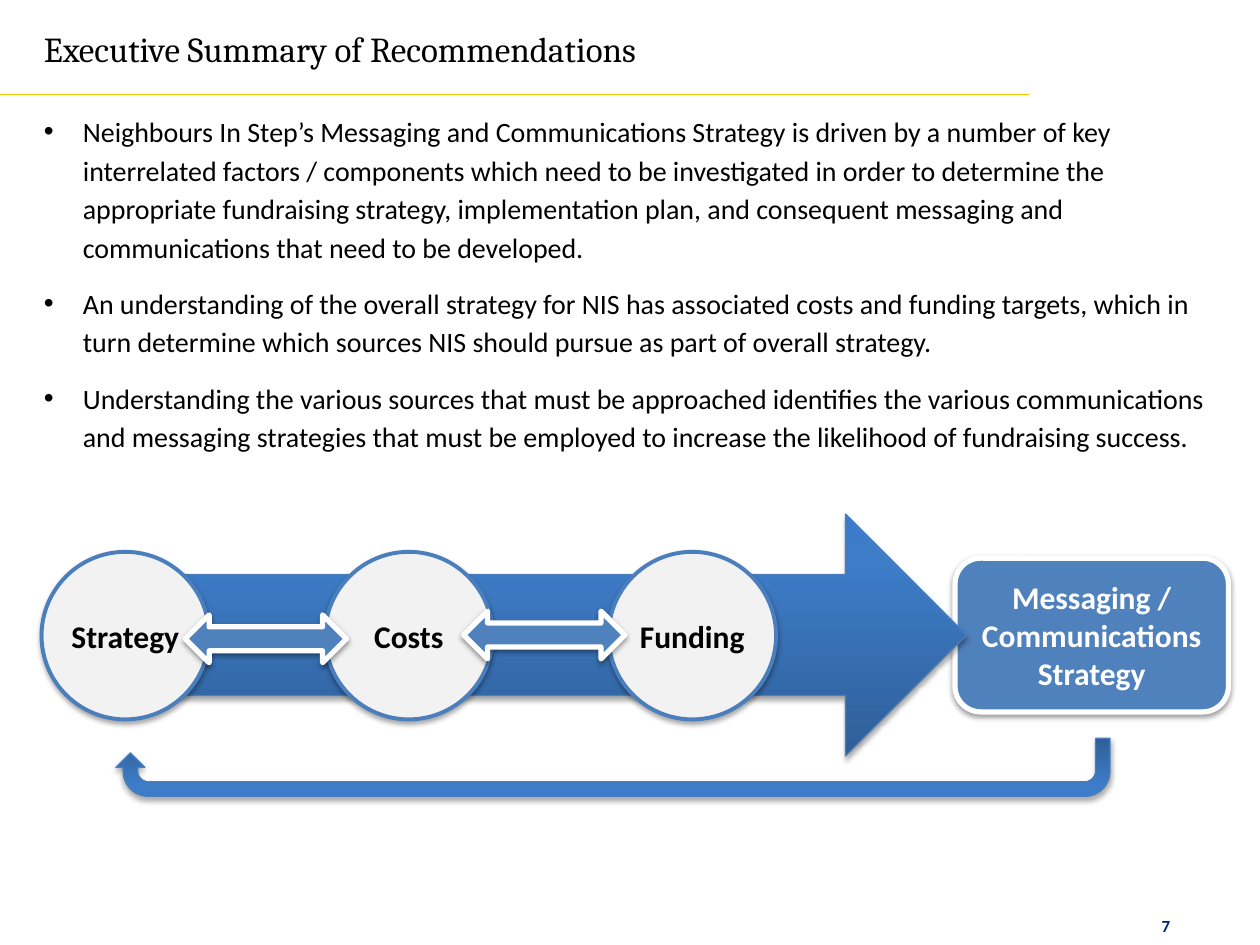
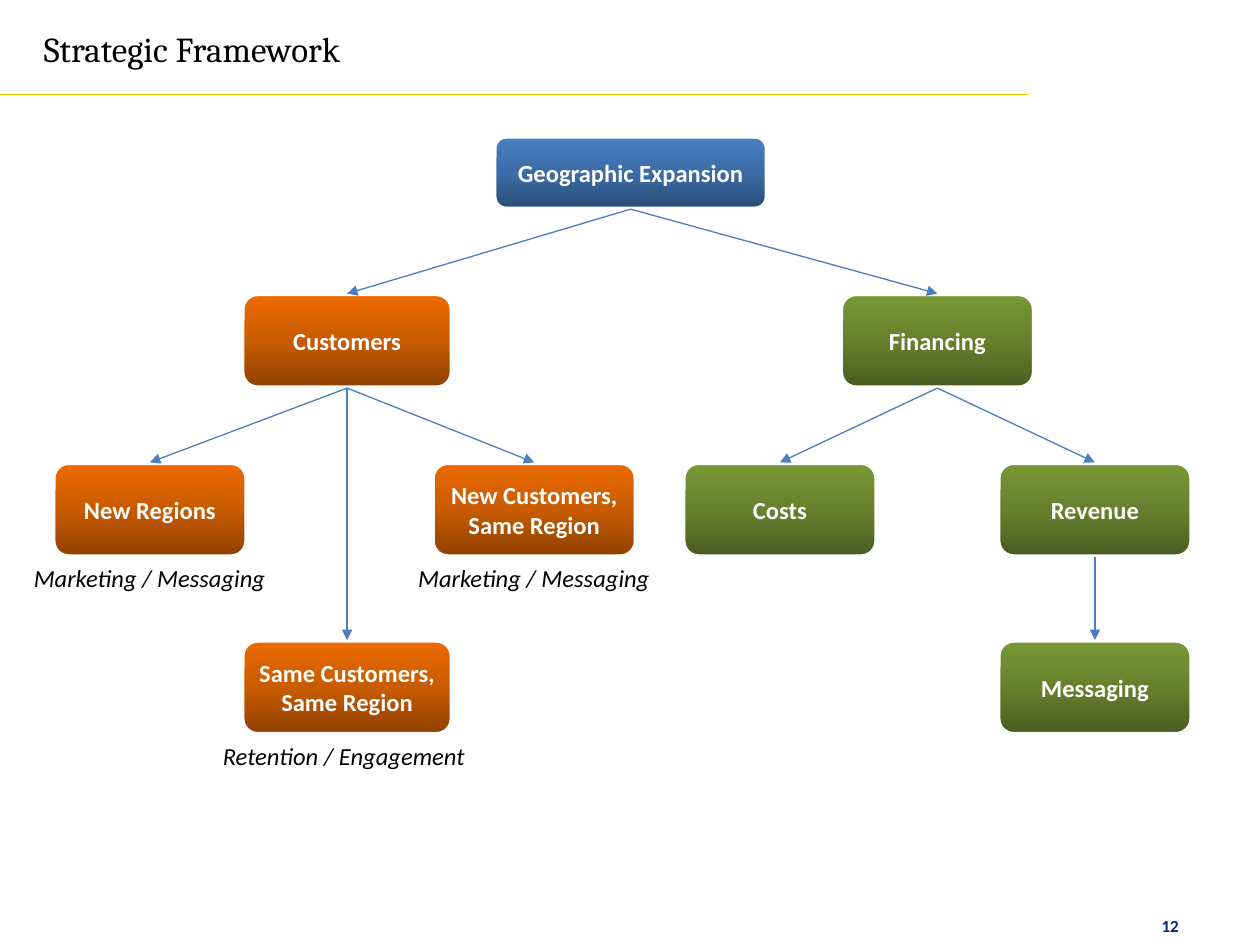
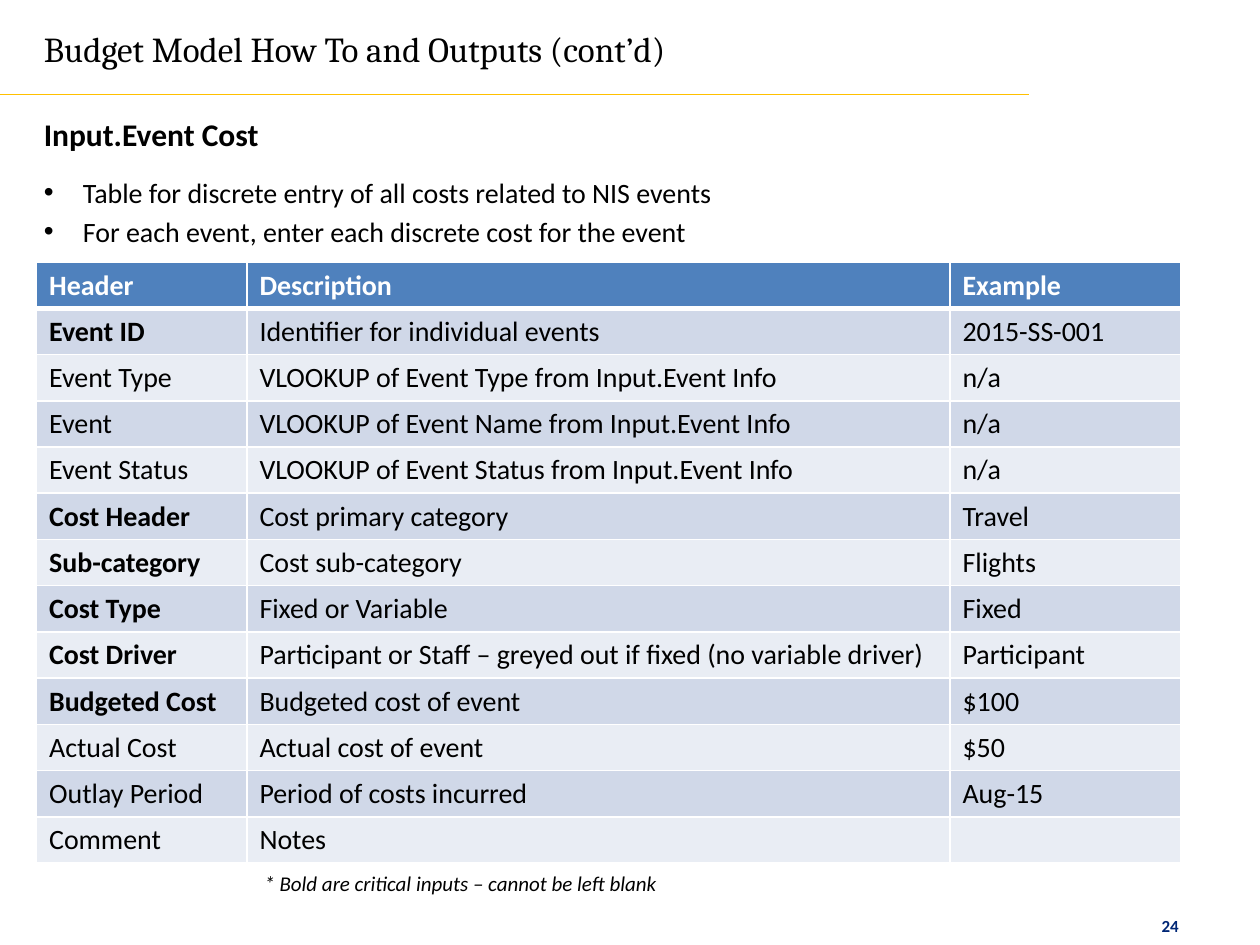
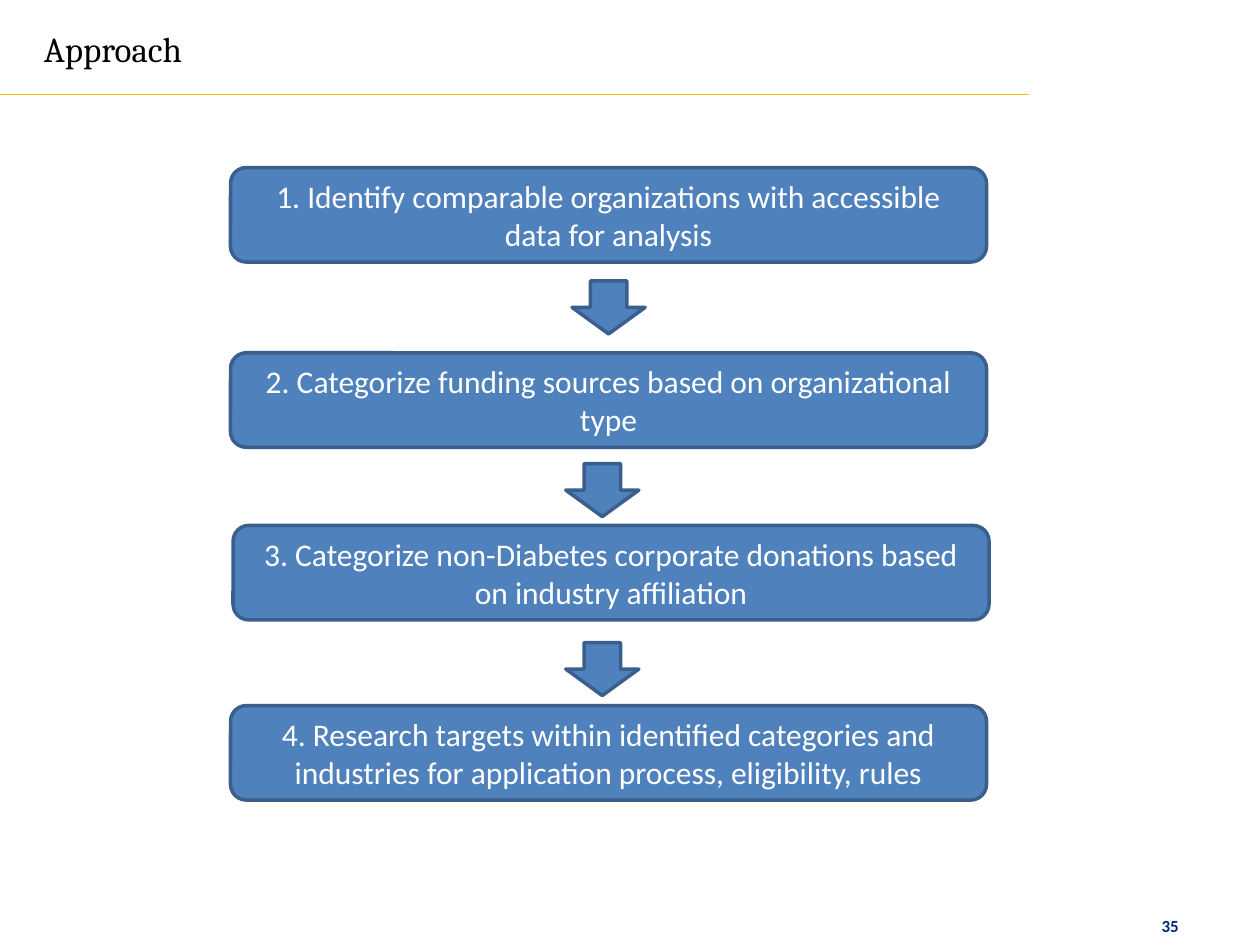
from lxml import etree
from pptx import Presentation
from pptx.dml.color import RGBColor
from pptx.enum import shapes, text
from pptx.oxml import ns
from pptx.util import Inches, Pt

COLORS = {
    "black": "000000", "white": "FFFFFF", "navy": "002776", "gold": "FFC000",
    "blue": "4F81BD", "edge": "4B7EBC", "dark": "3A5F8C", "pale": "F2F2F2",
    "band1": "D0D8E8", "band2": "E9EDF4",
}
GRADIENTS = {
    "arrow": [(0, "2F5F99"), (80, "3D7CC7"), (100, "3A7CCB")],
    "blue_box": [(0, "2A4C75"), (50, "3C6CA6"), (100, "4780C5")],
    "orange_box": [(0, "8D4000"), (50, "C85B00"), (100, "EE6B00")],
    "green_box": [(0, "485B20"), (50, "66812D"), (100, "799936")],
}
SOFT = (35, 1.8)
STRONG = (38, 1.6)
SHAPE = shapes.MSO_SHAPE


def rgb(name):
    return RGBColor.from_string(COLORS[name])


def sub(parent, tag, **attrs):
    return etree.SubElement(parent, ns.qn(tag), {k: str(v) for k, v in attrs.items()})


def inches(*values):
    return [Inches(v) for v in values]


class Deck:
    def __init__(self):
        self.prs = Presentation()
        self.prs.slide_width, self.prs.slide_height = inches(10, 7.5)
        self.s = None

    def slide(self, title, title_width, number):
        self.s = self.prs.slides.add_slide(self.prs.slide_layouts[6])
        self.text(9.12, 7.22, 0.38, 0.15, str(number), 9.7, "navy", bold=True)
        self.text(0.25, 0.17, title_width, 0.44, title, 20, font="Cambria", wrap=False)
        self.line(0, 0.75, 8.17, 0.75, "gold")

    def font(self, p, size, color="black", bold=False, italic=False, font="Calibri"):
        f = p.font
        f.name, f.size, f.bold, f.italic = font, Pt(size), bold, italic
        f.color.rgb = rgb(color)

    def text(self, x, y, w, h, content, size, color="black", wrap=True, **style):
        tf = self.s.shapes.add_textbox(*inches(x, y, w, h)).text_frame
        tf.word_wrap = wrap
        p = tf.paragraphs[0]
        p.text = content
        self.font(p, size, color, **style)

    def body(self, height, items, space_after, heading=None):
        tf = self.s.shapes.add_textbox(*inches(0.25, 0.82, 9.5, height)).text_frame
        tf.word_wrap = True
        lines = ([heading] if heading else []) + items
        for i, content in enumerate(lines):
            p = tf.paragraphs[0] if i == 0 else tf.add_paragraph()
            p.text = content
            p.line_spacing = 1.15
            is_heading = content == heading
            p.space_after = Pt(10 if is_heading else space_after)
            if not is_heading:
                pPr = p._p.get_or_add_pPr()
                pPr.set("marL", str(Inches(0.31)))
                pPr.set("indent", str(-Inches(0.31)))
                sub(pPr, "a:buFont", typeface="Arial")
                sub(pPr, "a:buChar", char="•")
            self.font(p, 18 if is_heading else 16, bold=is_heading)

    def shape(self, kind, x, y, w, h, fill, line, width, shadow=None):
        sp = self.s.shapes.add_shape(kind, *inches(x, y, w, h))
        sp.shadow.inherit = False
        if fill in GRADIENTS:
            sp.fill.gradient()
            sp.fill.gradient_angle = 90
            stops = sp._element.spPr.find(".//" + ns.qn("a:gsLst"))
            for old in list(stops):
                stops.remove(old)
            for pos, color in GRADIENTS[fill]:
                sub(sub(stops, "a:gs", pos=pos * 1000), "a:srgbClr", val=color)
        else:
            sp.fill.solid()
            sp.fill.fore_color.rgb = rgb(fill)
        sp.line.color.rgb = rgb(line)
        sp.line.width = Pt(width)
        if shadow:
            alpha, dist = shadow
            effects = sp._element.spPr.find(ns.qn("a:effectLst"))
            outer = sub(effects, "a:outerShdw", blurRad=Pt(3.1), dist=Pt(dist),
                        dir=5400000, rotWithShape=0)
            color = sub(outer, "a:srgbClr", val=COLORS["black"])
            sub(color, "a:alpha", val=alpha * 1000)
        return sp

    def label(self, sp, content, size, color="white", bold=True, side=0.1):
        tf = sp.text_frame
        tf.word_wrap = True
        tf.vertical_anchor = text.MSO_ANCHOR.MIDDLE
        tf.margin_left = tf.margin_right = Inches(side)
        tf.text = content
        for p in tf.paragraphs:
            p.alignment = text.PP_ALIGN.CENTER
            self.font(p, size, color, bold)

    def line(self, x1, y1, x2, y2, color):
        c = self.s.shapes.add_connector(shapes.MSO_CONNECTOR.STRAIGHT, *inches(x1, y1, x2, y2))
        c.line.color.rgb = rgb(color)
        c.line.width = Pt(0.75)
        sub(c._element.spPr, "a:effectLst")
        return c

    def arrow(self, parent, child):
        c = self.line(0, 0, 1, 1, "edge")
        c.begin_connect(parent, 2)
        c.end_connect(child, 0)
        sub(c.line._get_or_add_ln(), "a:tailEnd", type="triangle")

    def table(self, x, y, widths, row_height, rows, bold_names):
        frame = self.s.shapes.add_table(
            len(rows), len(widths), *inches(x, y, sum(widths), row_height * len(rows)))
        table = frame.table
        for column, width in zip(table.columns, widths):
            column.width = Inches(width)
        for i, row in enumerate(rows):
            table.rows[i].height = Inches(row_height)
            for j, content in enumerate(row):
                cell = table.cell(i, j)
                self.borders(cell, top=3 if i == 1 else 1, bottom=3 if i == 0 else 1)
                cell.fill.solid()
                cell.fill.fore_color.rgb = rgb(
                    "blue" if i == 0 else "band1" if i % 2 else "band2")
                cell.text = content
                bold = i == 0 or (j == 0 and content in bold_names)
                self.font(cell.text_frame.paragraphs[0], 16, "black" if i else "white", bold)

    def borders(self, cell, top, bottom):
        tcPr = cell._tc.get_or_add_tcPr()
        for side, width in (("L", 1), ("R", 1), ("T", top), ("B", bottom)):
            ln = sub(tcPr, "a:ln" + side, w=Pt(width))
            sub(sub(ln, "a:solidFill"), "a:srgbClr", val=COLORS["white"])


def summary(d):
    d.slide("Executive Summary of Recommendations", 5.15, 7)
    goal = d.shape(SHAPE.ROUNDED_RECTANGLE, 7.58, 4.43, 2.17, 1.22, "blue", "white", 3, STRONG)
    d.label(goal, "Messaging /\nCommunications\nStrategy", 18)
    d.shape(SHAPE.RIGHT_ARROW, 0.75, 4.08, 6.92, 1.92, "arrow", "edge", 0.75, SOFT)
    for i, name in enumerate(["Strategy", "Costs", "Funding"]):
        circle = d.shape(SHAPE.OVAL, 0.33 + 2.25 * i, 4.38, 1.33, 1.33,
                         "pale", "edge", 2.25, SOFT)
        d.label(circle, name, 18, "black", side=0)
    for x, y in [(1.47, 4.88), (3.68, 4.85)]:
        d.shape(SHAPE.LEFT_RIGHT_ARROW, x, y, 1.28, 0.38, "blue", "white", 3, STRONG)
    d.body(2.86, [
        "Neighbours In Step’s Messaging and Communications Strategy is driven by a number of key "
        "interrelated factors / components which need to be investigated in order to determine the "
        "appropriate fundraising strategy, implementation plan, and consequent messaging and "
        "communications that need to be developed.",
        "An understanding of the overall strategy for NIS has associated costs and funding targets, "
        "which in turn determine which sources NIS should pursue as part of overall strategy.",
        "Understanding the various sources that must be approached identifies the various "
        "communications and messaging strategies that must be employed to increase the likelihood "
        "of fundraising success.",
    ], 10)
    loop = d.shape(SHAPE.U_TURN_ARROW, 0.92, 5.86, 7.89, 0.46, "arrow", "edge", 0.75, SOFT)
    loop.rotation = 180


def framework(d):
    d.slide("Strategic Framework", 2.7, 12)
    nodes = {}
    for name, x, y, w, h, fill in [
        ("Geographic Expansion", 3.92, 1.08, 2.17, 0.58, "blue_box"),
        ("Customers", 1.92, 2.33, 1.67, 0.75, "orange_box"),
        ("Financing", 6.67, 2.33, 1.54, 0.75, "green_box"),
        ("Costs", 5.42, 3.67, 1.54, 0.75, "green_box"),
        ("Revenue", 7.92, 3.67, 1.54, 0.75, "green_box"),
        ("Messaging", 7.92, 5.08, 1.54, 0.75, "green_box"),
        ("New Regions", 0.42, 3.67, 1.54, 0.75, "orange_box"),
        ("Same Customers, Same Region", 1.92, 5.08, 1.67, 0.75, "orange_box"),
        ("New Customers, Same Region", 3.43, 3.67, 1.62, 0.75, "orange_box"),
    ]:
        nodes[name] = d.shape(SHAPE.ROUNDED_RECTANGLE, x, y, w, h, fill, "white", 3)
        d.label(nodes[name], name, 14)
    children = {
        "Geographic Expansion": ["Customers", "Financing"],
        "Financing": ["Revenue", "Costs"],
        "Revenue": ["Messaging"],
        "Customers": ["Same Customers, Same Region", "New Customers, Same Region", "New Regions"],
    }
    for parent, names in children.items():
        for name in names:
            d.arrow(nodes[parent], nodes[name])
    for x, y, w, caption in [
        (1.67, 5.83, 2.14, "Retention / Engagement"),
        (0.17, 4.42, 2.06, "Marketing / Messaging"),
        (3.22, 4.42, 2.06, "Marketing / Messaging"),
    ]:
        d.text(x, y, w, 0.34, caption, 14, italic=True, wrap=False)


def event_cost(d):
    d.slide("Budget Model How To and Outputs (cont’d)", 5.38, 24)
    rows = [
        ("Header", "Description", "Example"),
        ("Event ID", "Identifier for individual events", "2015-SS-001"),
        ("Event Type", "VLOOKUP of Event Type from Input.Event Info", "n/a"),
        ("Event", "VLOOKUP of Event Name from Input.Event Info", "n/a"),
        ("Event Status", "VLOOKUP of Event Status from Input.Event Info", "n/a"),
        ("Cost Header", "Cost primary category", "Travel"),
        ("Sub-category", "Cost sub-category", "Flights"),
        ("Cost Type", "Fixed or Variable", "Fixed"),
        ("Cost Driver", "Participant or Staff – greyed out if fixed (no variable driver)",
         "Participant"),
        ("Budgeted Cost", "Budgeted cost of event", "$100"),
        ("Actual Cost", "Actual cost of event", "$50"),
        ("Outlay Period", "Period of costs incurred", "Aug-15"),
        ("Comment", "Notes", ""),
    ]
    critical = {"Event ID", "Cost Header", "Sub-category", "Cost Type", "Cost Driver",
                "Budgeted Cost"}
    d.table(0.29, 2.08, [1.67, 5.58, 1.83], 4.77 / len(rows), rows, critical)
    d.body(1.21, [
        "Table for discrete entry of all costs related to NIS events",
        "For each event, enter each discrete cost for the event",
    ], 0, heading="Input.Event Cost")
    d.text(2, 6.86, 5.23, 0.3, "* Bold are critical inputs – cannot be left blank", 12, italic=True)


def approach(d):
    d.slide("Approach", 1.37, 35)
    for x, y, step in [
        (1.83, 1.33, "1. Identify comparable organizations with accessible data for analysis"),
        (1.83, 2.8, "2. Categorize funding sources based on organizational type"),
        (1.85, 4.17, "3. Categorize non-Diabetes corporate donations based on industry affiliation"),
        (1.83, 5.6, "4. Research targets within identified categories and industries for "
                    "application process, eligibility, rules"),
    ]:
        box = d.shape(SHAPE.ROUNDED_RECTANGLE, x, y, 6, 0.75, "blue", "dark", 2)
        d.label(box, step, 18, bold=False)
    for x, y in [(4.54, 2.23), (4.49, 3.68), (4.49, 5.1)]:
        d.shape(SHAPE.DOWN_ARROW, x, y, 0.58, 0.42, "blue", "dark", 2)


def main():
    d = Deck()
    for build in (summary, framework, event_cost, approach):
        build(d)
    d.prs.save("out.pptx")


if __name__ == "__main__":
    main()
